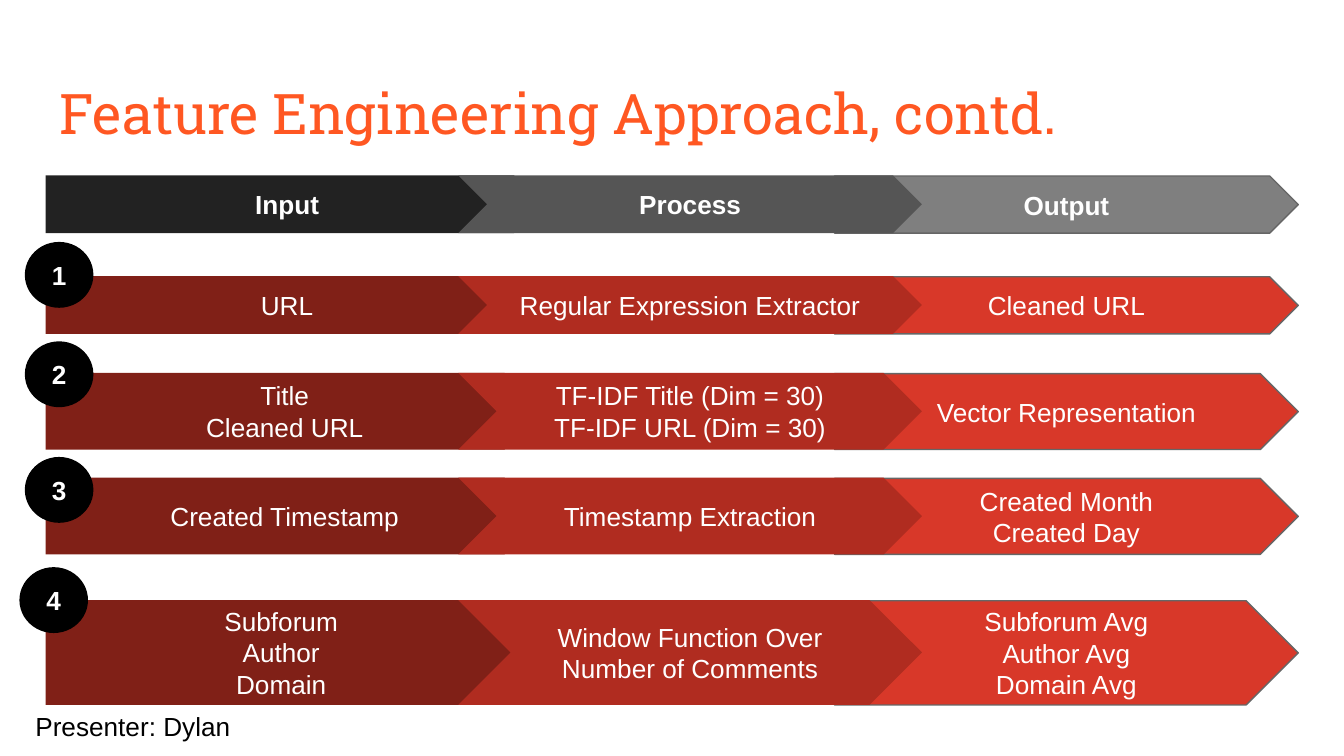
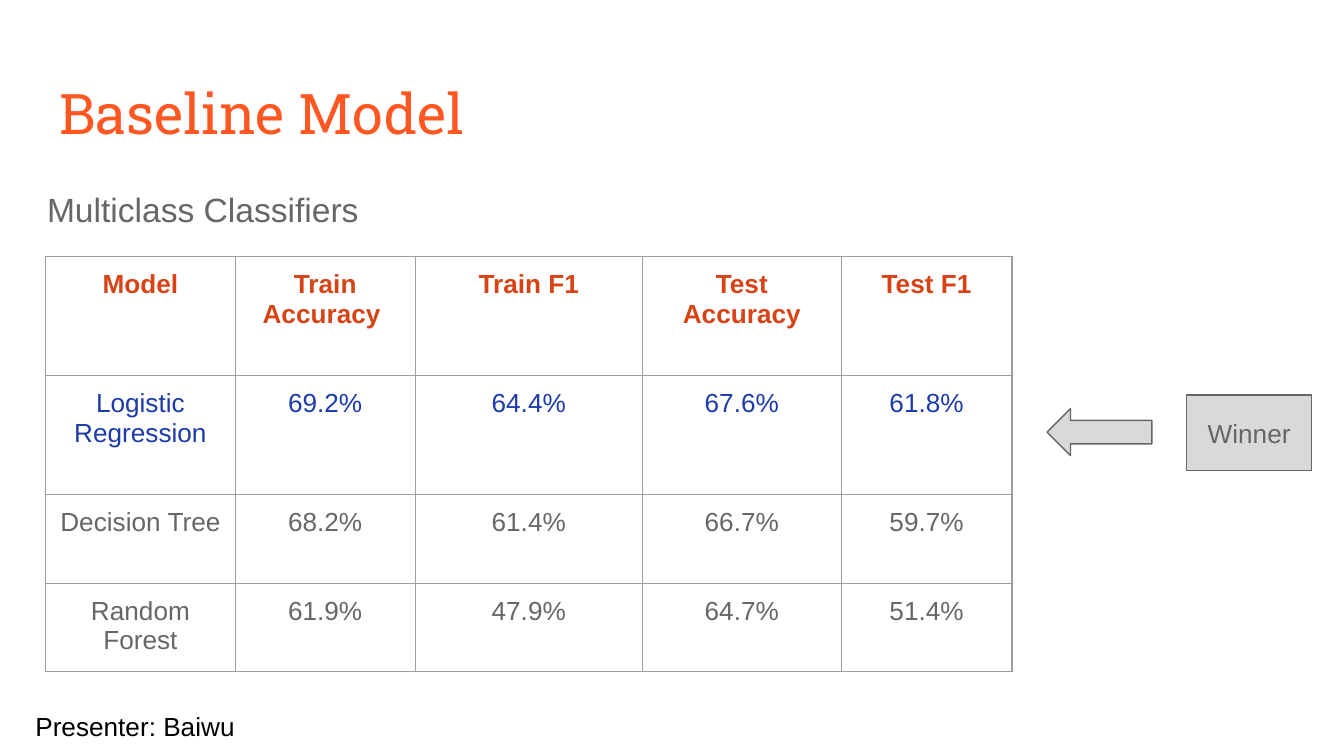
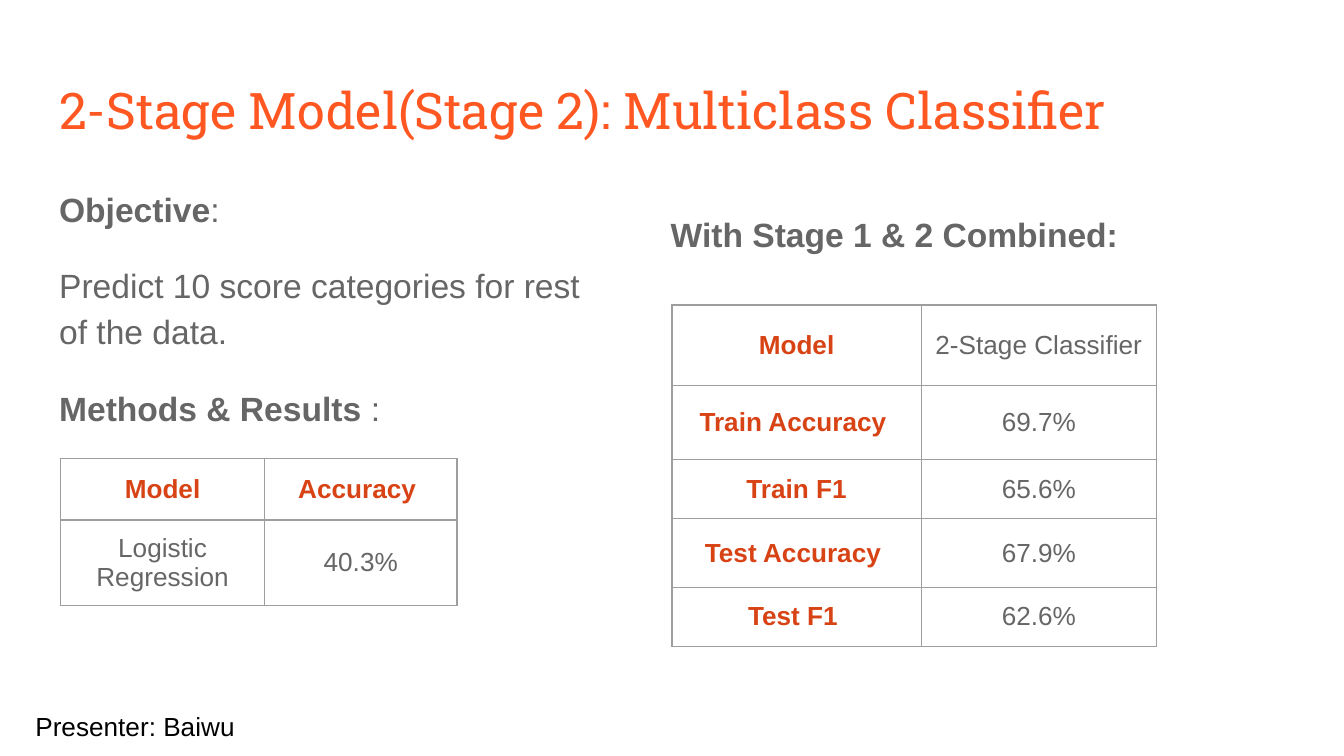
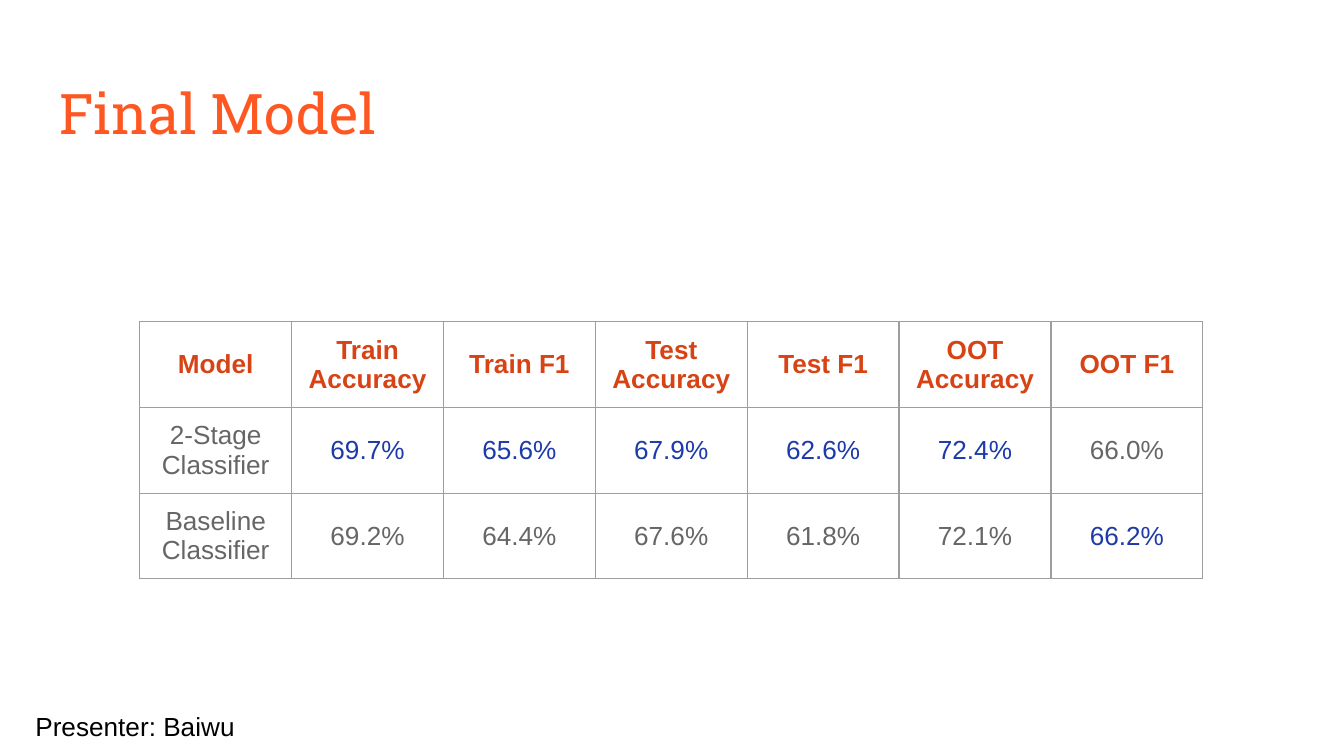
from dataclasses import dataclass

from lxml.etree import SubElement
from pptx import Presentation
from pptx.dml.color import RGBColor
from pptx.enum.shapes import MSO_SHAPE as Shape
from pptx.enum.text import MSO_ANCHOR as Anchor, MSO_AUTO_SIZE as AutoSize, PP_ALIGN as Align
from pptx.oxml.ns import qn
from pptx.util import Inches, Pt

# The grid: 100 columns by 56.25 rows of square cells
COLUMNS, ROWS = 100, 56.25
CELL = Inches(0.1)
TITLE_ONLY, TITLE_AND_BODY, TITLE_AND_TWO_BODIES = 5, 1, 3


@dataclass(frozen=True)
class Theme:
    title_font: str = "Roboto Slab"
    body_font: str = "Arial"
    title_size: float = 30
    long_title_size: float = 27
    body_size: float = 18
    small_size: float = 14
    line_width: float = 0.75
    title: str = "FF5722"
    header: str = "D84315"
    text: str = "666666"
    best: str = "1C3AA9"
    border: str = "9E9E9E"
    panel: str = "D9D9D9"
    black: str = "000000"
    white: str = "FFFFFF"
    head_flow: tuple = ("222222", "555555", "7F7F7F")
    step_flow: tuple = ("802017", "B02C20", "D83829")


THEME = Theme()


@dataclass(frozen=True)
class Box:
    """A region in grid cells."""
    left: float
    top: float
    width: float
    height: float

    def inside(self, left, top, width, height):
        return Box(self.left + left, self.top + top, width, height)

    def lengths(self):
        return [round(cells * CELL) for cells in (self.left, self.top, self.width, self.height)]


TITLE_BOX = Box(3.4, 4.85, 93.2, 6.3)
PRESENTER_BOX = Box(1.65, 51.85, 24.4, 4.4)


# Shared helpers
def rgb(code):
    return RGBColor.from_string(code)


def write(frame, paragraphs, size=THEME.small_size, color=THEME.text, font=THEME.body_font,
          bold=False, align=Align.LEFT, anchor=Anchor.TOP, line_spacing=1.0, space_before=0):
    """Write paragraphs, each a string or a list of (text, bold) spans."""
    frame.word_wrap = True
    frame.auto_size = AutoSize.NONE
    frame.vertical_anchor = anchor
    frame.margin_left = frame.margin_top = frame.margin_right = frame.margin_bottom = CELL
    for number, content in enumerate(paragraphs):
        para = frame.add_paragraph() if number else frame.paragraphs[0]
        para.alignment = align
        para.line_spacing = line_spacing
        para.space_before = Pt(space_before if number else 0)
        spans = [(content, bold)] if isinstance(content, str) else content
        for text, span_bold in spans:
            span = para.add_run()
            span.text = text
            span.font.name = font
            span.font.size = Pt(size)
            span.font.bold = span_bold
            span.font.color.rgb = rgb(color)


def place(shape, box):
    shape.left, shape.top, shape.width, shape.height = box.lengths()


def add_shape(page, kind, box, fill, line=None, paragraphs=(), **text_format):
    shape = page.shapes.add_shape(kind, *box.lengths())
    shape.shadow.inherit = False
    shape.fill.solid()
    shape.fill.fore_color.rgb = rgb(fill)
    if line:
        shape.line.color.rgb = rgb(line)
        shape.line.width = Pt(THEME.line_width)
    else:
        shape.line.fill.background()
    if paragraphs:
        write(shape.text_frame, paragraphs, align=Align.CENTER, anchor=Anchor.MIDDLE, **text_format)
    return shape


def add_page(deck, layout, title, presenter, title_size=THEME.title_size):
    page = deck.slides.add_slide(deck.slide_layouts[layout])
    place(page.shapes.title, TITLE_BOX)
    write(page.shapes.title.text_frame, [title], size=title_size, color=THEME.title,
          font=THEME.title_font)
    note = page.shapes.add_textbox(*PRESENTER_BOX.lengths())
    write(note.text_frame, [f"Presenter: {presenter}"], color=THEME.black)
    return page


def fill_body(page, index, box, paragraphs, **text_format):
    body = page.placeholders[index]
    place(body, box)
    write(body.text_frame, paragraphs, size=THEME.body_size, line_spacing=1.15,
          space_before=16, **text_format)
    for para in body.text_frame.paragraphs:
        properties = para._p.get_or_add_pPr()
        properties.set("marL", "0")
        properties.set("indent", "0")
        SubElement(properties, qn("a:buNone"))


# Tables
def draw_borders(cell):
    properties = cell._tc.get_or_add_tcPr()
    for side in ("a:lnL", "a:lnR", "a:lnT", "a:lnB"):
        line = SubElement(properties, qn(side), w=str(Pt(THEME.line_width)))
        SubElement(SubElement(line, qn("a:solidFill")), qn("a:srgbClr"), val=THEME.border)


def add_table(page, left, top, widths, heights, rows, header="row", best=(), anchor=Anchor.MIDDLE):
    """Add a table headed by its first row or column; best holds (row, column) places."""
    box = Box(left, top, sum(widths), sum(heights))
    table = page.shapes.add_table(len(rows), len(widths), *box.lengths()).table
    table.first_row = table.horz_banding = False
    for column, width in zip(table.columns, widths):
        column.width = round(width * CELL)
    for row, height in zip(table.rows, heights):
        row.height = round(height * CELL)
    for y, values in enumerate(rows):
        for x, value in enumerate(values):
            cell = table.cell(y, x)
            draw_borders(cell)
            cell.fill.background()
            is_header = (y if header == "row" else x) == 0
            color = THEME.header if is_header else THEME.best if (y, x) in best else THEME.text
            write(cell.text_frame, [value], color=color, bold=is_header, align=Align.CENTER)
            cell.vertical_anchor = anchor
            cell.margin_left = cell.margin_right = cell.margin_top = cell.margin_bottom = CELL


# Slide 1: the flow of features
def add_flow_row(page, box, colors, texts, bold=False):
    """Draw input, process and output arrows; the process overlaps both others."""
    tuck = 0.05
    arrows = [
        (Shape.PENTAGON, box.inside(0, 0, 37, box.height), None),
        (Shape.CHEVRON, box.inside(30.7, 0, 34.5, box.height), None),
        (Shape.CHEVRON, box.inside(58.7, tuck, 34.5, box.height - tuck), THEME.text),
    ]
    for stage in (0, 2, 1):
        kind, arrow_box, line = arrows[stage]
        arrow = add_shape(page, kind, arrow_box, colors[stage], line, texts[stage],
                          color=THEME.white, bold=bold)
        arrow.adjustments[0] = 0.5


def add_badge(page, box, number):
    add_shape(page, Shape.OVAL, box, THEME.black, THEME.black, [str(number)],
              color=THEME.white, bold=True)


def build_feature_page(deck):
    page = add_page(deck, TITLE_ONLY, "Feature Engineering Approach, contd.", "Dylan")
    flow = Box(3.4, 13.05, 93.2, 39.4)
    add_flow_row(page, flow.inside(0, 0, flow.width, 4.3), THEME.head_flow,
                 (["Input"], ["Process"], ["Output"]), bold=True)
    # Each step: top, height, badge offset, texts
    steps = [
        (7.5, 4.3, (-1.5, -2.5), (["URL"], ["Regular Expression Extractor"], ["Cleaned URL"])),
        (14.7, 5.7, (-1.5, -2.3), (["Title", "Cleaned URL"],
                                   ["TF-IDF Title (Dim = 30)", "TF-IDF URL (Dim = 30)"],
                                   ["Vector Representation"])),
        (22.5, 5.7, (-1.5, -1.5), (["Created Timestamp"], ["Timestamp Extraction"],
                                   ["Created Month", "Created Day"])),
        (31.6, 7.8, (-1.9, -2.4), (["Subforum", "Author", "Domain"],
                                   ["Window Function Over Number of Comments"],
                                   ["Subforum Avg", "Author Avg", "Domain Avg"])),
    ]
    for number, (top, height, badge_offset, texts) in enumerate(steps, 1):
        step = flow.inside(0, top, flow.width, height)
        add_flow_row(page, step, THEME.step_flow, texts)
        add_badge(page, step.inside(*badge_offset, 5, 4.8), number)


# Slide 2: baseline scores and the winner
def add_winner_callout(page, box):
    add_shape(page, Shape.LEFT_ARROW, box.inside(0, 1, 7.8, 3.5), THEME.panel, THEME.text)
    add_shape(page, Shape.RECTANGLE, box.inside(10.4, 0, 9.3, box.height), THEME.panel,
              THEME.text, ["Winner"])


def build_baseline_page(deck):
    page = add_page(deck, TITLE_AND_BODY, "Baseline Model", "Baiwu")
    fill_body(page, 1, Box(2.5, 12.6, 96.3, 40.1), ["Multiclass Classifiers"])
    rows = [
        ("Model", "Train Accuracy ", "Train F1", "Test Accuracy", "Test F1"),
        ("Logistic Regression", "69.2%", "64.4%", "67.6%", "61.8%"),
        ("Decision Tree", "68.2%", "61.4%", "66.7%", "59.7%"),
        ("Random Forest", "61.9%", "47.9%", "64.7%", "51.4%"),
    ]
    add_table(page, 3.4, 19.1, [14.1, 13.4, 16.9, 14.8, 12.7], [8.85, 8.85, 6.6, 6.6], rows,
              best={(1, x) for x in range(5)}, anchor=Anchor.TOP)
    add_winner_callout(page, Box(77.9, 29.4, 19.7, 5.6))


# Slide 3: the second stage, and both stages together
def build_two_stage_page(deck):
    page = add_page(deck, TITLE_AND_TWO_BODIES, "2-Stage Model(Stage 2): Multiclass Classifier",
                    "Baiwu", title_size=THEME.long_title_size)
    fill_body(page, 1, Box(3.4, 12.6, 43.4, 37.4), [
        [("Objective", True), (":", False)],
        "Predict 10 score categories for rest of the data.",
        [("Methods & Results ", True), (":", False)],
    ])
    add_table(page, 4.5, 34.1, [15.2, 14.3], [4.6, 4.6],
              [("Model", "Accuracy "), ("Logistic Regression", "40.3%")])
    fill_body(page, 2, Box(48.9, 14.5, 43.4, 6.3), ["With Stage 1 & 2 Combined:"], bold=True)
    combined = [
        ("Model", "2-Stage Classifier"),
        ("Train Accuracy ", "69.7%"),
        ("Train F1", "65.6%"),
        ("Test Accuracy ", "67.9%"),
        ("Test F1 ", "62.6%"),
    ]
    add_table(page, 50, 22.7, [18.55, 17.5], [6, 5.5, 4.4, 5.1, 4.4], combined, header="column")


# Slide 4: final comparison
def build_final_page(deck):
    page = add_page(deck, TITLE_ONLY, "Final Model", "Baiwu")
    rows = [
        ("Model", "Train Accuracy", "Train F1", "Test Accuracy", "Test F1",
         "OOT Accuracy", "OOT F1"),
        ("2-Stage Classifier", "69.7%", "65.6%", "67.9%", "62.6%", "72.4%", "66.0%"),
        ("Baseline Classifier", "69.2%", "64.4%", "67.6%", "61.8%", "72.1%", "66.2%"),
    ]
    best = {(1, x) for x in range(1, 6)} | {(2, 6)}
    add_table(page, 10.4, 23.95, [11.3] * 7, [4.2] * 3, rows, best=best)


def main():
    deck = Presentation()
    deck.slide_width = round(COLUMNS * CELL)
    deck.slide_height = round(ROWS * CELL)
    for build in (build_feature_page, build_baseline_page, build_two_stage_page, build_final_page):
        build(deck)
    deck.save("out.pptx")


if __name__ == "__main__":
    main()
